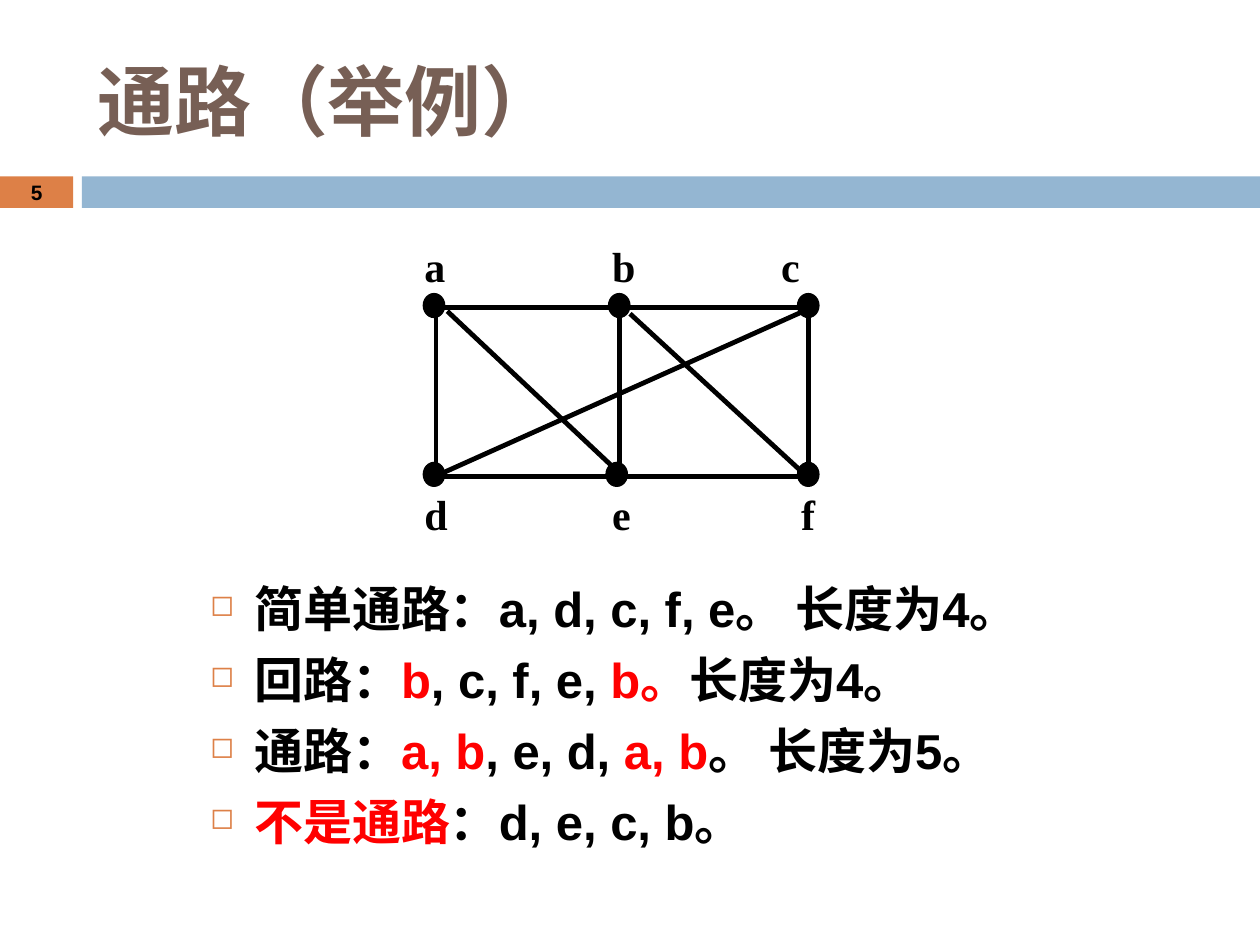
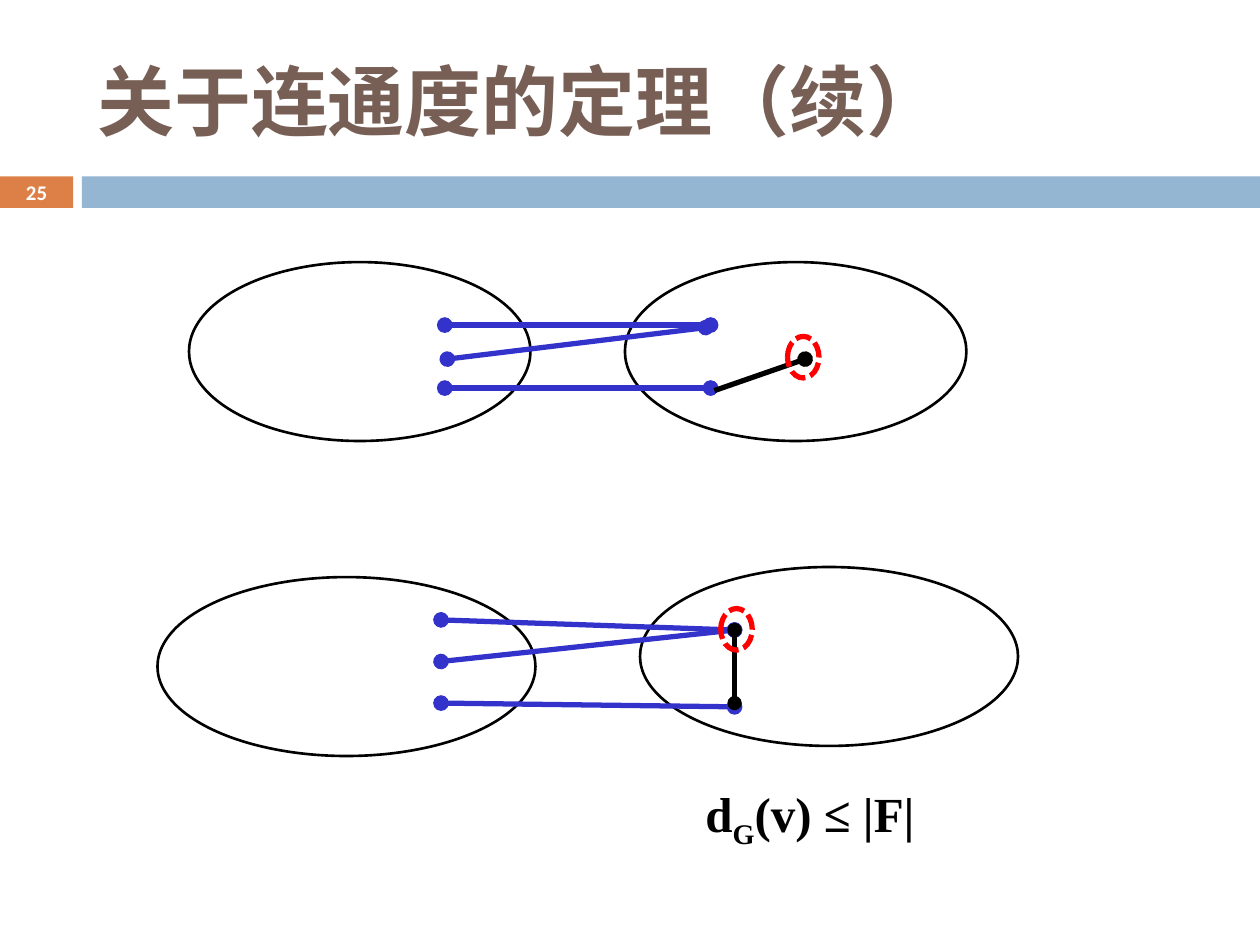
from dataclasses import dataclass

from lxml import etree
from pptx import Presentation
from pptx import util as u
from pptx.dml import color
from pptx.enum import dml, shapes, text
from pptx.oxml import ns

COLORS = {
    "title": "775F55",
    "orange": "DD8047",
    "blue": "94B6D2",
    "edge": "3333CC",
    "black": "000000",
    "red": "FF0000",
    "white": "FFFFFF",
}
SERIF = "Times New Roman"


@dataclass(frozen=True)
class Box:
    left: float
    top: float
    width: float
    height: float

    def lengths(self) -> list[u.Length]:
        return [u.Inches(v) for v in (self.left, self.top, self.width, self.height)]


@dataclass(frozen=True)
class Edge:
    start: tuple[float, float]
    end: tuple[float, float]
    color: str = "black"
    width: float = 2.75
    head: bool = False
    tail: bool = False


@dataclass(frozen=True)
class Span:
    words: str
    color: str = "black"
    baseline: int = 0


TITLE = Box(0.67, 0.25, 8.92, 1.08)
NUMBER = Box(0, 1.39, 0.58, 0.27)
BANDS = {"orange": Box(0, 1.4, 0.58, 0.25), "blue": Box(0.65, 1.4, 9.35, 0.25)}

COLUMNS = (3.46, 4.92, 6.42)
ROWS = (2.44, 3.78)
VERTICES = [(3.36, 2.33), (4.83, 2.33), (6.33, 2.33),
            (3.36, 3.67), (4.81, 3.67), (6.33, 3.67)]
LABELS = {"a": (3.27, 1.86), "b": (4.76, 1.86), "c": (6.1, 1.86),
          "d": (3.27, 3.83), "e": (4.76, 3.83), "f": (6.26, 3.83)}
DIAGONALS = [Edge((6.4, 2.46), (3.41, 3.8)),
             Edge((3.55, 2.47), (4.89, 3.73)),
             Edge((5, 2.49), (6.37, 3.75))]
WALKS = [
    [Span("简单通路：a, d, c, f, e。 长度为4。")],
    [Span("回路："), Span("b", "red"), Span(", c, f, e,"),
     Span(" b。", "red"), Span("长度为4。")],
    [Span("通路："), Span("a, b", "red"), Span(", e, d, "),
     Span("a, b", "red"), Span("。 长度为5。")],
    [Span("不是通路", "red"), Span("：d, e, c, b。")],
]

COMPONENTS = [Box(1.5, 2.08, 2.71, 1.42), Box(4.96, 2.08, 2.71, 1.42),
              Box(1.25, 4.58, 3, 1.42), Box(5.08, 4.5, 3, 1.42)]
CUT_ENDS = [((3.53, 2.58), (5.64, 2.58)), ((3.55, 2.85), (5.6, 2.6)),
            ((3.53, 3.08), (5.64, 3.08)), ((3.5, 4.92), (5.83, 5)),
            ((3.5, 5.25), (5.83, 5)), ((3.5, 5.58), (5.83, 5.61))]
INNER_EDGES = [Edge((5.67, 3.1), (6.39, 2.85), width=3, tail=True),
               Edge((5.83, 5), (5.83, 5.58), head=True, tail=True)]
MARKED_VERTICES = [Box(6.25, 2.67, 0.25, 0.33), Box(5.72, 4.83, 0.25, 0.33)]


def rgb(name: str) -> color.RGBColor:
    return color.RGBColor.from_string(COLORS[name])


def style(paragraph, size: float, face: str, name: str = "black") -> None:
    font = paragraph.font
    font.size, font.name, font.bold = u.Pt(size), face, True
    font.color.rgb = rgb(name)


def add_spans(paragraph, spans: list[Span]) -> None:
    for span in spans:
        run = paragraph.add_run()
        run.text = span.words
        if span.color != "black":
            run.font.color.rgb = rgb(span.color)
        if span.baseline:
            run._r.get_or_add_rPr().set("baseline", str(span.baseline * 1000))


def add_frame(slide, box: Box):
    frame = slide.shapes.add_textbox(*box.lengths()).text_frame
    frame.word_wrap = True
    return frame


def add_figure(slide, kind, box: Box, fill: str | None = None, line: str | None = None,
               width: float = 0.75):
    figure = slide.shapes.add_shape(kind, *box.lengths())
    figure.shadow.inherit = False
    if fill:
        figure.fill.solid()
        figure.fill.fore_color.rgb = rgb(fill)
    else:
        figure.fill.background()
    if line:
        figure.line.color.rgb = rgb(line)
        figure.line.width = u.Pt(width)
    else:
        figure.line.fill.background()
    return figure


def add_edge(slide, edge: Edge) -> None:
    ends = [u.Inches(v) for v in (*edge.start, *edge.end)]
    connector = slide.shapes.add_connector(shapes.MSO_CONNECTOR.STRAIGHT, *ends)
    connector.line.color.rgb = rgb(edge.color)
    connector.line.width = u.Pt(edge.width)
    outline = connector.line._get_or_add_ln()
    for tag, shown in (("a:headEnd", edge.head), ("a:tailEnd", edge.tail)):
        if shown:
            etree.SubElement(outline, ns.qn(tag), type="oval")
    etree.SubElement(connector._element.spPr, ns.qn("a:effectLst"))


def add_bullet(paragraph) -> None:
    properties = paragraph._p.get_or_add_pPr()
    indent = u.Inches(0.35)
    properties.set("marL", str(indent))
    properties.set("indent", str(-indent))
    bullet_color = etree.SubElement(properties, ns.qn("a:buClr"))
    etree.SubElement(bullet_color, ns.qn("a:srgbClr"), val=COLORS["orange"])
    etree.SubElement(properties, ns.qn("a:buSzPct"), val="60000")
    etree.SubElement(properties, ns.qn("a:buChar"), char="◻")


def start_slide(deck, heading: str, number: str, face: str, number_color: str):
    slide = deck.slides.add_slide(deck.slide_layouts[5])
    for fill, box in BANDS.items():
        add_figure(slide, shapes.MSO_SHAPE.RECTANGLE, box, fill)
    title = slide.shapes.title
    title.left, title.top, title.width, title.height = TITLE.lengths()
    title.text_frame.text = heading
    title.text_frame.auto_size = text.MSO_AUTO_SIZE.NONE
    title.text_frame.vertical_anchor = text.MSO_ANCHOR.MIDDLE
    title.text_frame.paragraphs[0].alignment = text.PP_ALIGN.LEFT
    style(title.text_frame.paragraphs[0], 44, "Calibri", "title")

    frame = add_frame(slide, NUMBER)
    frame.margin_left = frame.margin_right = frame.margin_top = frame.margin_bottom = 0
    frame.vertical_anchor = text.MSO_ANCHOR.MIDDLE
    frame.text = number
    frame.paragraphs[0].alignment = text.PP_ALIGN.CENTER
    style(frame.paragraphs[0], 11.9, face, number_color)
    return slide


def build_walks(deck) -> None:
    slide = start_slide(deck, "通路（举例）", "5", "Arial", "black")
    sides = [Edge((left, row), (right, row))
             for row in ROWS for left, right in zip(COLUMNS, COLUMNS[1:])]
    uprights = [Edge((column, 2.41), (column, 3.83)) for column in COLUMNS]
    for edge in sides + uprights + DIAGONALS:
        add_edge(slide, edge)
    for left, top in VERTICES:
        add_figure(slide, shapes.MSO_SHAPE.OVAL, Box(left, top, 0.17, 0.19), "black", "black")
    for label, (left, top) in LABELS.items():
        frame = add_frame(slide, Box(left, top, 0.39, 0.5))
        frame.text = label
        style(frame.paragraphs[0], 24, SERIF)

    frame = add_frame(slide, Box(1.57, 4.54, 7.17, 2.52))
    for index, spans in enumerate(WALKS):
        paragraph = frame.add_paragraph() if index else frame.paragraphs[0]
        add_bullet(paragraph)
        paragraph.space_before = u.Pt(7)
        style(paragraph, 28, "Arial")
        add_spans(paragraph, spans)


def build_connectivity(deck) -> None:
    slide = start_slide(deck, "关于连通度的定理（续）", "25", "Calibri", "white")
    for component in COMPONENTS:
        add_figure(slide, shapes.MSO_SHAPE.OVAL, component, line="black", width=1.5)
    cut = [Edge(start, end, "edge", 3, True, True) for start, end in CUT_ENDS]
    for edge in cut + INNER_EDGES:
        add_edge(slide, edge)
    for vertex in MARKED_VERTICES:
        ring = add_figure(slide, shapes.MSO_SHAPE.OVAL, vertex, line="red", width=3)
        ring.line.dash_style = dml.MSO_LINE.SQUARE_DOT

    bound = add_frame(slide, Box(5.5, 6.17, 2.17, 0.57)).paragraphs[0]
    style(bound, 28, SERIF)
    add_spans(bound, [Span("d"), Span("G", baseline=-25), Span("(v) ≤ |F|")])


def main() -> None:
    deck = Presentation()
    deck.slide_width, deck.slide_height = u.Inches(10), u.Inches(7.5)
    build_walks(deck)
    build_connectivity(deck)
    deck.save("out.pptx")


if __name__ == "__main__":
    main()
